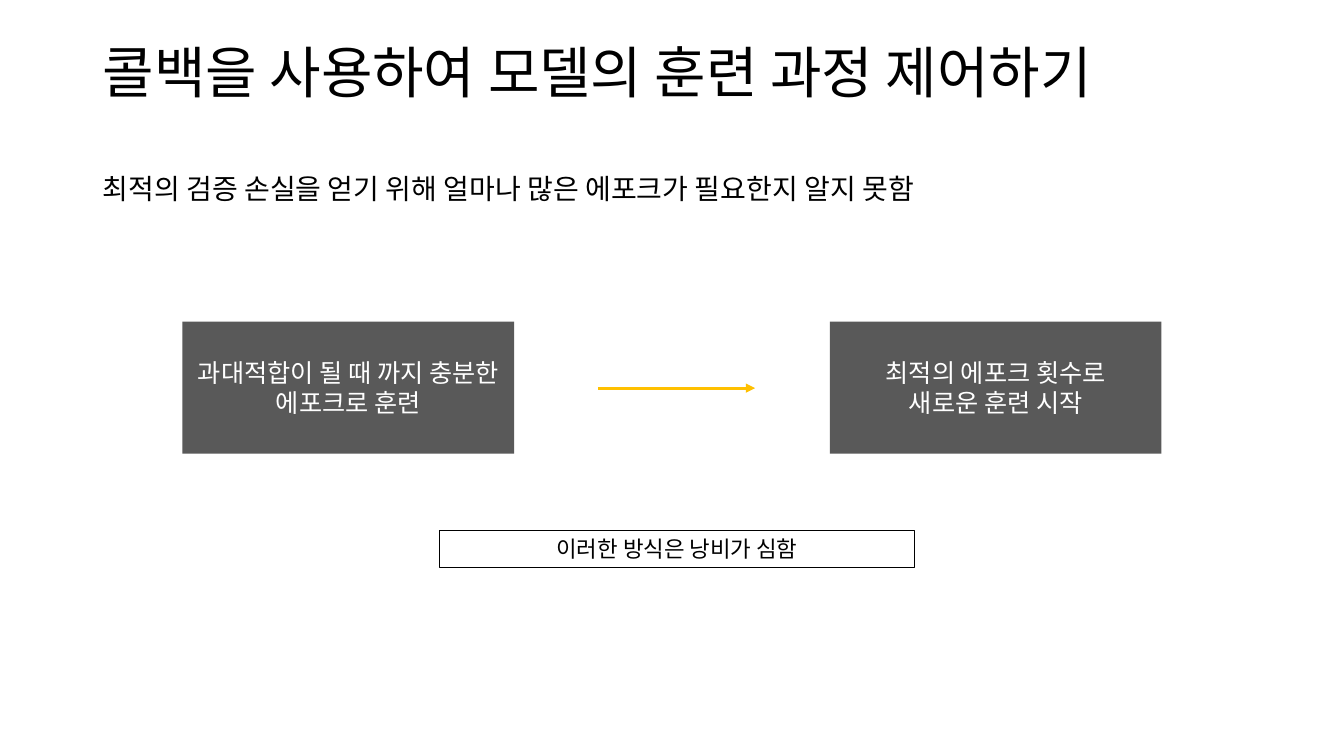
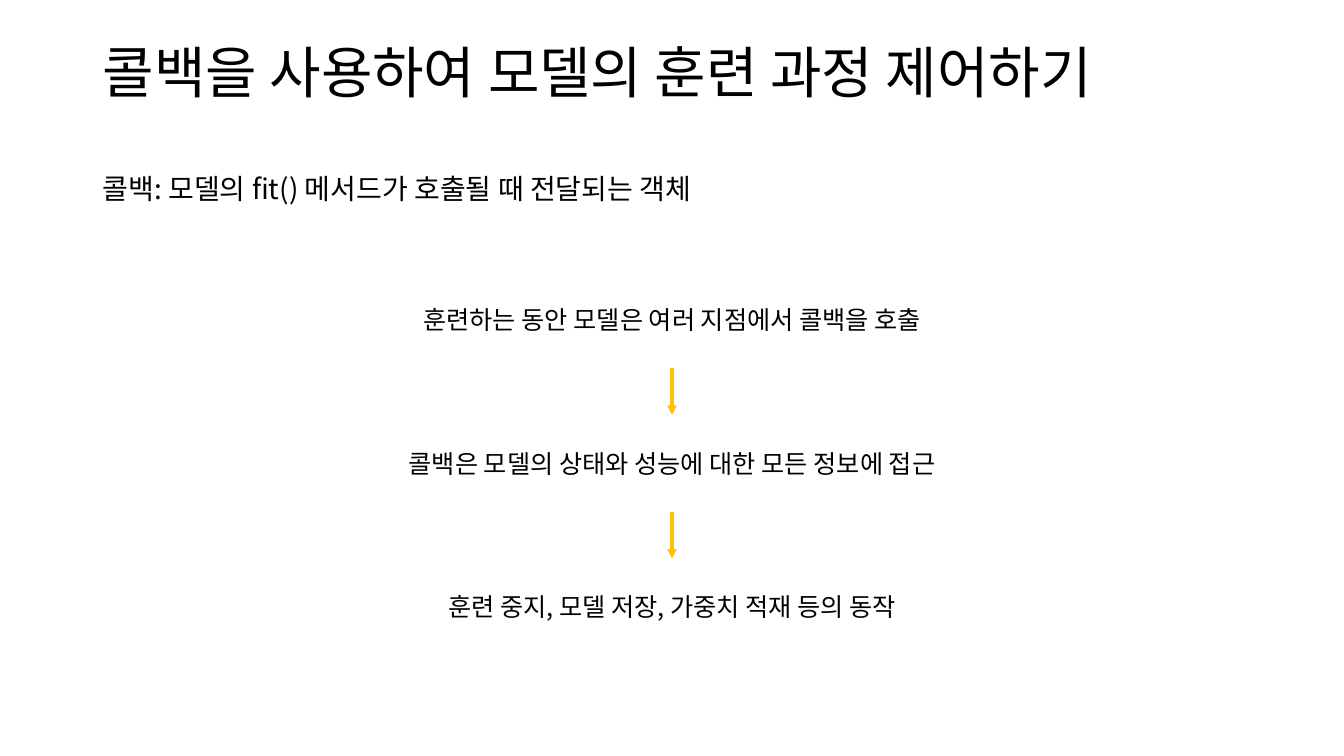
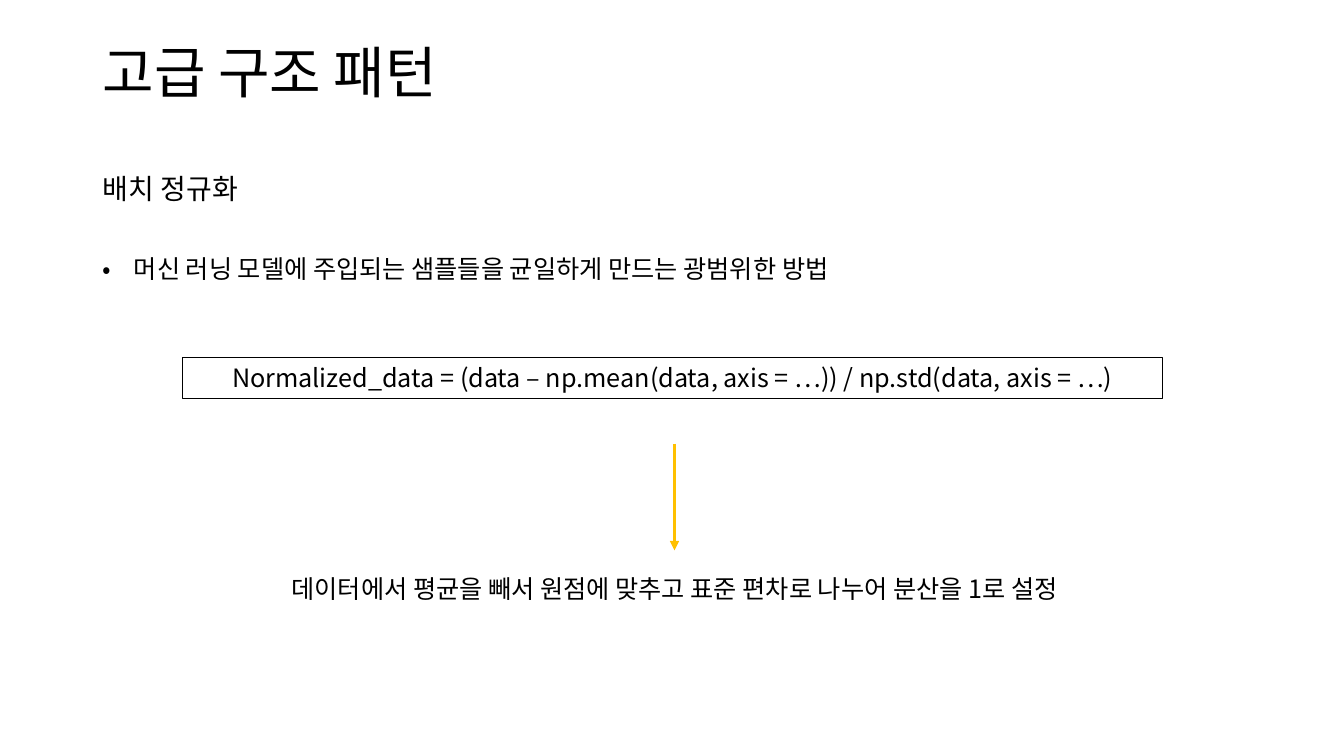
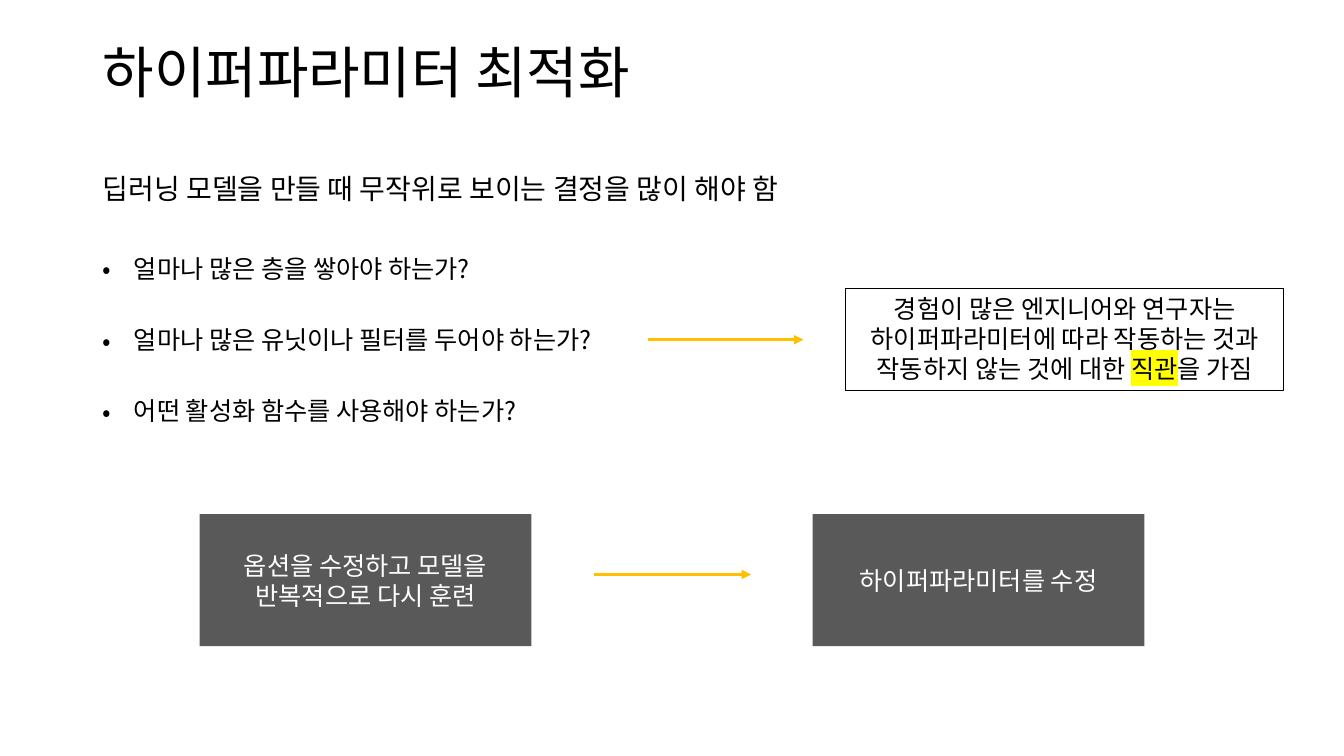
from lxml import etree
from pptx import Presentation
from pptx.dml.color import RGBColor
from pptx.enum import shapes, text
from pptx.oxml import ns
from pptx.util import Inches, Pt

FONT = "Noto Sans CJK KR"
COLORS = {
    "ink": "000000",
    "step": "595959",
    "step_text": "FFFFFF",
    "arrow": "FFC000",
    "highlight": "FFFF00",
}
LEFT = 0.92
LINE_HEIGHT = 0.4
STEP_WIDTH, STEP_HEIGHT = 3.29, 1.31
STEP_ARROW = 1.56
BULLET_INDENT = 0.31
CENTER = text.PP_ALIGN.CENTER
CALLBACK_TITLE = "콜백을 사용하여 모델의 훈련 과정 제어하기"


def color(name):
    return RGBColor.from_string(COLORS[name])


def format_run(run, size, color_name, highlighted=False):
    run.font.size = Pt(size)
    run.font.color.rgb = color(color_name)
    run.font.name = FONT
    latin = run.font._element.find(ns.qn("a:latin"))
    east_asian = etree.Element(ns.qn("a:ea"), typeface=FONT)
    latin.addnext(east_asian)
    if highlighted:
        highlight = etree.Element(ns.qn("a:highlight"))
        etree.SubElement(highlight, ns.qn("a:srgbClr"), val=COLORS["highlight"])
        latin.addprevious(highlight)


def write(shape, content, size, color_name="ink", align=text.PP_ALIGN.LEFT,
          anchor=text.MSO_ANCHOR.TOP, marked=None):
    """Fill a shape with one paragraph per line, highlighting the marked word."""
    frame = shape.text_frame
    frame.word_wrap = True
    frame.vertical_anchor = anchor
    frame.text = content
    for paragraph in frame.paragraphs:
        paragraph.alignment = align
        if marked:
            before, word, after = paragraph.text.partition(marked)
            paragraph.text = before
            for part in (word, after):
                paragraph.add_run().text = part
        for run in paragraph.runs:
            format_run(run, size, color_name, run.text == marked)


def add_text(slide, box, content, size=18, **style):
    shape = slide.shapes.add_textbox(*map(Inches, box))
    write(shape, content, size, **style)
    return shape


def add_rectangle(slide, box):
    shape = slide.shapes.add_shape(shapes.MSO_SHAPE.RECTANGLE, *map(Inches, box))
    shape.shadow.inherit = False
    return shape


def add_step(slide, left, top, content):
    shape = add_rectangle(slide, (left, top, STEP_WIDTH, STEP_HEIGHT))
    shape.fill.solid()
    shape.fill.fore_color.rgb = color("step")
    shape.line.fill.background()
    write(shape, content, 18, "step_text", CENTER, text.MSO_ANCHOR.MIDDLE)


def add_note(slide, box, content, size=18, marked=None):
    shape = add_rectangle(slide, box)
    shape.fill.background()
    shape.line.color.rgb = color("ink")
    shape.line.width = Pt(0.75)
    write(shape, content, size, align=CENTER, marked=marked)


def add_arrow(slide, left, top, across=0, down=0):
    arrow = slide.shapes.add_connector(
        shapes.MSO_CONNECTOR.STRAIGHT,
        *map(Inches, (left, top, left + across, top + down)))
    arrow.line.color.rgb = color("arrow")
    arrow.line.width = Pt(2.25)
    line = arrow.line._get_or_add_ln()
    etree.SubElement(line, ns.qn("a:tailEnd"), type="triangle")
    etree.SubElement(arrow._element.spPr, ns.qn("a:effectLst"))


def add_step_pair(slide, box, contents, arrow_offset):
    """Put steps at both ends of box (left, top, width), with an arrow between."""
    left, top, width = box
    for step_left, content in zip((left, left + width - STEP_WIDTH), contents):
        add_step(slide, step_left, top, content)
    across, down = arrow_offset
    add_arrow(slide, left + across, top + down, across=STEP_ARROW)


def add_flow(slide, box, contents, pitch=1.425):
    """Stack centred lines in box (left, top, width), joined by arrows."""
    left, top, width = box
    for index, content in enumerate(contents):
        line_top = top + index * pitch
        if index:
            add_arrow(slide, left + width / 2, line_top - 0.74, down=0.46)
        add_text(slide, (left, line_top, width, LINE_HEIGHT), content, align=CENTER)


def add_bullets(slide, box, contents, pitch=0.705):
    """Stack bulleted lines in box (left, top, width)."""
    left, top, width = box
    for index, content in enumerate(contents):
        shape = add_text(slide, (left, top + index * pitch, width, LINE_HEIGHT), content)
        properties = shape.text_frame.paragraphs[0]._p.get_or_add_pPr()
        properties.set("marL", str(Inches(BULLET_INDENT)))
        properties.set("indent", str(-Inches(BULLET_INDENT)))
        etree.SubElement(properties, ns.qn("a:buFont"), typeface=FONT)
        etree.SubElement(properties, ns.qn("a:buChar"), char="•")


def add_slide(presentation, title, subtitle):
    slide = presentation.slides.add_slide(presentation.slide_layouts[6])
    heading = add_text(slide, (LEFT, 0.4, 11.5, 1.45), title, 40)
    heading.text_frame.paragraphs[0].line_spacing = 0.9
    add_text(slide, (LEFT, 1.65, 11.02, 0.44), subtitle, 20)
    return slide


def build_training_slide(presentation):
    slide = add_slide(presentation, CALLBACK_TITLE,
                      "최적의 검증 손실을 얻기 위해 얼마나 많은 에포크가 필요한지 알지 못함")
    add_step_pair(slide, (1.81, 3.19, 9.71),
                  ("과대적합이 될 때 까지 충분한 에포크로 훈련",
                   "최적의 에포크 횟수로\n새로운 훈련 시작"), (4.12, 0.66))
    add_note(slide, (4.36, 5.26, 4.71, 0.37), "이러한 방식은 낭비가 심함", 16)


def build_callback_slide(presentation):
    slide = add_slide(presentation, CALLBACK_TITLE,
                      "콜백: 모델의 fit() 메서드가 호출될 때 전달되는 객체")
    add_flow(slide, (3.39, 2.97, 6.55),
             ("훈련하는 동안 모델은 여러 지점에서 콜백을 호출",
              "콜백은 모델의 상태와 성능에 대한 모든 정보에 접근",
              "훈련 중지, 모델 저장, 가중치 적재 등의 동작"))


def build_normalization_slide(presentation):
    slide = add_slide(presentation, "고급 구조 패턴", "배치 정규화")
    add_bullets(slide, (LEFT, 2.46, 8.56),
                ["머신 러닝 모델에 주입되는 샘플들을 균일하게 만드는 광범위한 방법"])
    add_note(slide, (1.81, 3.55, 9.72, LINE_HEIGHT),
             "Normalized_data = (data – np.mean(data, axis = …)) / np.std(data, axis = …)")
    add_arrow(slide, 6.69, 4.4, down=1.06)
    add_text(slide, (1.44, 5.64, 10.5, LINE_HEIGHT),
             "데이터에서 평균을 빼서 원점에 맞추고 표준 편차로 나누어 분산을 1로 설정",
             align=CENTER)


def build_hyperparameter_slide(presentation):
    slide = add_slide(presentation, "하이퍼파라미터 최적화",
                      "딥러닝 모델을 만들 때 무작위로 보이는 결정을 많이 해야 함")
    add_bullets(slide, (LEFT, 2.46, 5.36),
                ("얼마나 많은 층을 쌓아야 하는가?",
                 "얼마나 많은 유닛이나 필터를 두어야 하는가?",
                 "어떤 활성화 함수를 사용해야 하는가?"))
    add_arrow(slide, 6.43, 3.37, across=1.54)
    add_note(slide, (8.39, 2.86, 4.34, 1.01),
             "경험이 많은 엔지니어와 연구자는 하이퍼파라미터에 따라 작동하는 것과 "
             "작동하지 않는 것에 대한 직관을 가짐", marked="직관")
    add_step_pair(slide, (1.98, 5.1, 9.37),
                  ("옵션을 수정하고 모델을 반복적으로 다시 훈련",
                   "하이퍼파라미터를 수정"), (3.91, 0.6))


def main():
    presentation = Presentation()
    presentation.slide_width = Inches(13.33)
    presentation.slide_height = Inches(7.5)
    for build in (build_training_slide, build_callback_slide,
                  build_normalization_slide, build_hyperparameter_slide):
        build(presentation)
    presentation.save("out.pptx")


if __name__ == "__main__":
    main()
